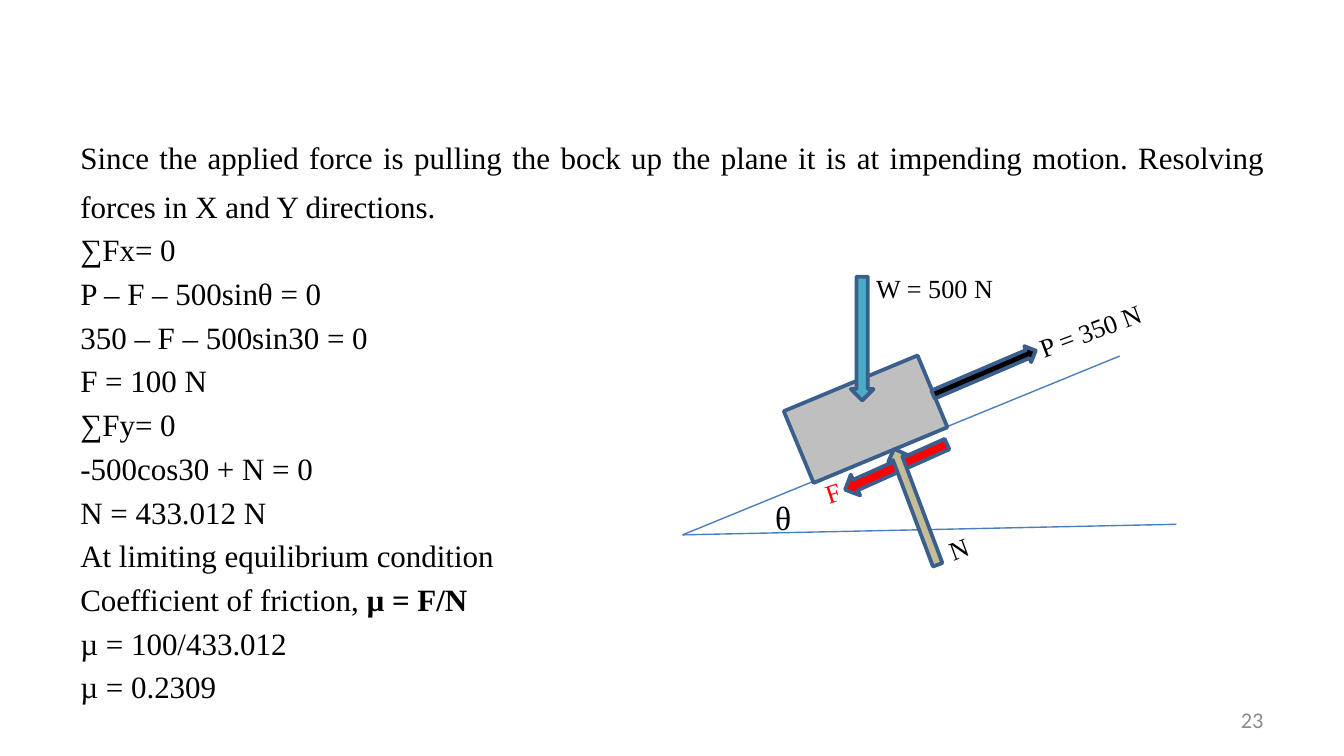
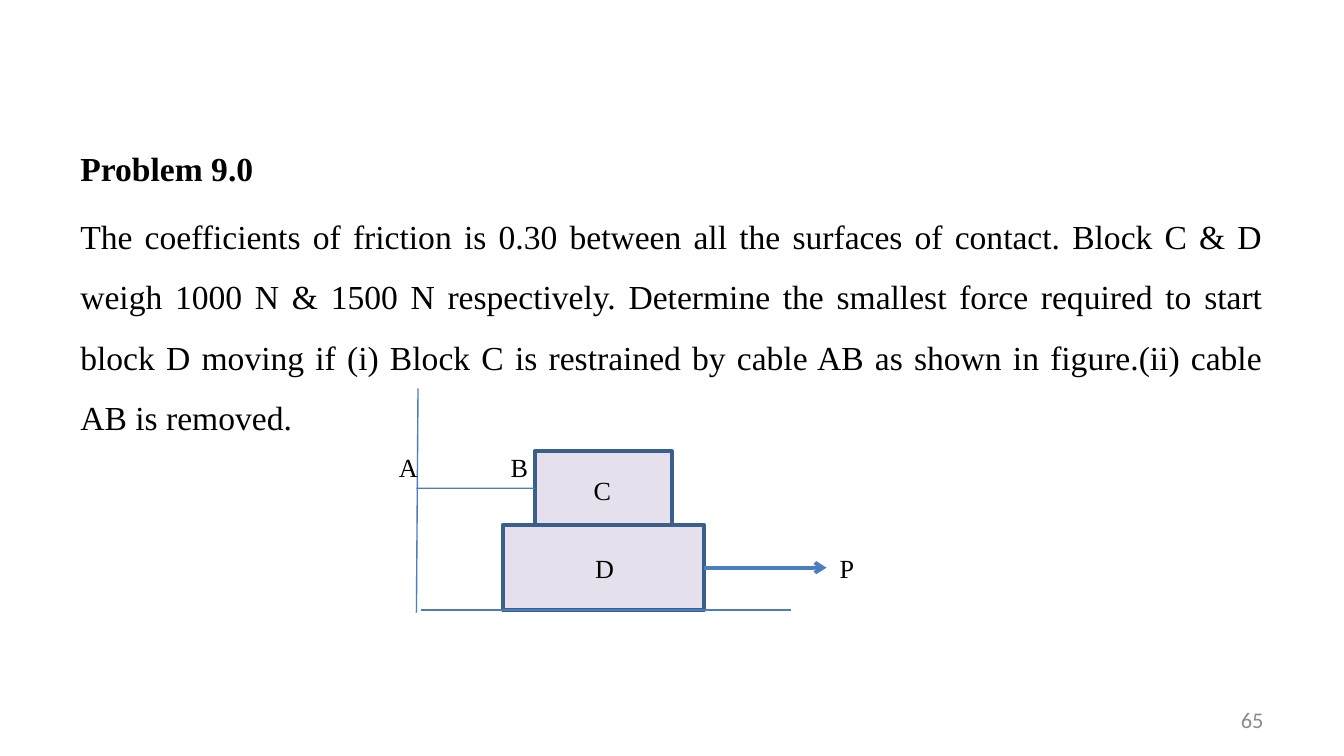
import dataclasses
import pptx
import pptx.util
import pptx.dml.color
import pptx.enum.shapes
import pptx.enum.text
import pptx.oxml.ns
import lxml.etree

Cm = pptx.util.Cm
Pt = pptx.util.Pt
RGB = pptx.dml.color.RGBColor.from_string
Kind = pptx.enum.shapes.MSO_SHAPE
Align = pptx.enum.text.PP_ALIGN
Anchor = pptx.enum.text.MSO_ANCHOR
qn = pptx.oxml.ns.qn


@dataclasses.dataclass(frozen=True)
class Theme:
    serif: str = "Times New Roman"
    sans: str = "Calibri"
    ink: str = "000000"
    red: str = "FF0000"
    grey: str = "8C8C8C"
    line: str = "4B7EBC"
    edge: str = "3A5F8C"
    stone: str = "BFBFBF"
    teal: str = "4BACC6"
    tan: str = "C4BD97"
    lilac: str = "E6E0EC"
    solve: float = 16.6
    task: float = 18
    angle: float = 18
    label: float = 14
    page: float = 12
    thin: float = 0.75
    thick: float = 2


theme = Theme()
body = (1.27, 2.29, 22.86, 10.49)
footer = (18.21, 13.23, 5.92, 0.76)


def write(slide, box, text, size=theme.label, tint=theme.ink, font=theme.serif, turn=0):
    """Add a text box, one paragraph per line of text, and return its frame."""
    area = slide.shapes.add_textbox(*map(Cm, box))
    area.rotation = turn
    frame = area.text_frame
    frame.word_wrap = True
    frame.text = text
    for para in frame.paragraphs:
        for run in para.runs:
            run.font.name = font
            run.font.size = Pt(size)
            run.font.color.rgb = RGB(tint)
    return frame


def draw(slide, ends, width=theme.thin):
    """Add a straight line between two points given as x1, y1, x2, y2."""
    line = slide.shapes.add_connector(
        pptx.enum.shapes.MSO_CONNECTOR.STRAIGHT, *map(Cm, ends))
    line.line.color.rgb = RGB(theme.line)
    line.line.width = Pt(width)
    lxml.etree.SubElement(line._element.spPr, qn("a:effectLst"))
    return line


deck = pptx.Presentation()
deck.slide_width = Cm(25.4)
deck.slide_height = Cm(14.29)
slides = []
for page in ("23", "65"):
    slide = deck.slides.add_slide(deck.slide_layouts[6])
    frame = write(slide, footer, page, theme.page, theme.grey, theme.sans)
    frame.vertical_anchor = Anchor.MIDDLE
    frame.paragraphs[0].alignment = Align.RIGHT
    slides.append(slide)
incline, stack = slides

# Body text
steps = write(incline, body, """\
Since the applied force is pulling the bock up the plane it is at impending motion. \
Resolving forces in X and Y directions.
∑Fx= 0
P – F – 500sinθ = 0
350 – F – 500sin30 = 0
F = 100 N
∑Fy= 0
-500cos30 + N = 0
N = 433.012 N
At limiting equilibrium condition
Coefficient of friction,
µ = 100/433.012
µ = 0.2309""", theme.solve)
steps.paragraphs[0].line_spacing = 1.3
ratio = steps.paragraphs[9].add_run()
ratio.text = " µ = F/N"
ratio.font.name = theme.serif
ratio.font.size = Pt(theme.solve)
ratio.font.color.rgb = RGB(theme.ink)
ratio.font.bold = True

task = write(stack, body, """\
Problem 9.0
The coefficients of friction is 0.30 between all the surfaces of contact. \
Block C & D weigh 1000 N & 1500 N respectively. \
Determine the smallest force required to start block D moving if \
(i) Block C is restrained by cable AB as shown in figure.(ii) cable AB is removed.""",
             theme.task)
task.paragraphs[0].runs[0].font.bold = True
for para in task.paragraphs:
    para.line_spacing = 1.5

for frame, gap in ((steps, 3.5), (task, 4)):
    for place, para in enumerate(frame.paragraphs):
        para.alignment = Align.JUSTIFY
        para.space_before = Pt(gap if place else 0)

# Inclined plane
for ends in ((12.9, 10.11, 21.16, 6.73), (12.9, 10.11, 22.23, 9.91)):
    draw(incline, ends)

# Blocks and force arrows of both figures
parts = (
    (incline, Kind.RECTANGLE, (14.99, 7.19, 2.74, 1.47), theme.stone, 337.4),
    (incline, Kind.RIGHT_ARROW, (17.55, 6.88, 2.11, 0.33), theme.ink, 336.8),
    (incline, Kind.DOWN_ARROW, (16.08, 5.23, 0.43, 2.34), theme.teal, 0),
    (incline, Kind.LEFT_ARROW, (15.88, 8.61, 2.11, 0.43), theme.red, 335.9),
    (incline, Kind.UP_ARROW, (17.12, 8.41, 0.38, 2.34), theme.tan, 339.4),
    (stack, Kind.RECTANGLE, (10.11, 8.53, 2.59, 1.4), theme.lilac, 0),
    (stack, Kind.RECTANGLE, (9.5, 9.93, 3.81, 1.6), theme.lilac, 0),
)
shapes = []
for slide, kind, box, fill, turn in parts:
    shape = slide.shapes.add_shape(kind, *map(Cm, box))
    shape.rotation = turn
    shape.shadow.inherit = False
    shape.fill.solid()
    shape.fill.fore_color.rgb = RGB(fill)
    shape.line.color.rgb = RGB(theme.edge)
    shape.line.width = Pt(theme.thick)
    shapes.append(shape)
upper, lower = shapes[-2:]

write(incline, (14.4, 9.27, 1.27, 1.02), "θ", theme.angle)
for text, box, tint, turn in (
    ("P = 350 N", (19.3, 5.54, 4.11, 0.86), theme.ink, 339.3),
    ("W = 500 N", (16.31, 5.03, 3.38, 0.86), theme.ink, 0),
    ("F", (15.34, 8.81, 1.27, 0.86), theme.red, 341.6),
    ("N", (17.68, 9.88, 1.27, 0.86), theme.ink, 339.5),
):
    write(incline, box, text, tint=tint, turn=turn)

# Wall, floor, cable and pull
draw(stack, (7.9, 7.34, 7.87, 11.58))
draw(stack, (7.95, 11.53, 14.94, 11.53))
cable = draw(stack, (7.87, 9.23, 10.11, 9.23))
cable.end_connect(upper, 1)
pull = draw(stack, (13.31, 10.73, 15.62, 10.73), theme.thick)
pull.begin_connect(lower, 3)
lxml.etree.SubElement(pull.line._get_or_add_ln(), qn("a:tailEnd"), type="arrow")

for text, left, top in (
    ("P", 15.62, 10.31),
    ("B", 9.4, 8.41),
    ("A", 7.29, 8.41),
    ("C", 10.97, 8.84),
    ("D", 11, 10.31),
):
    write(stack, (left, top, 0.86, 0.86), text)

deck.save("out.pptx")
